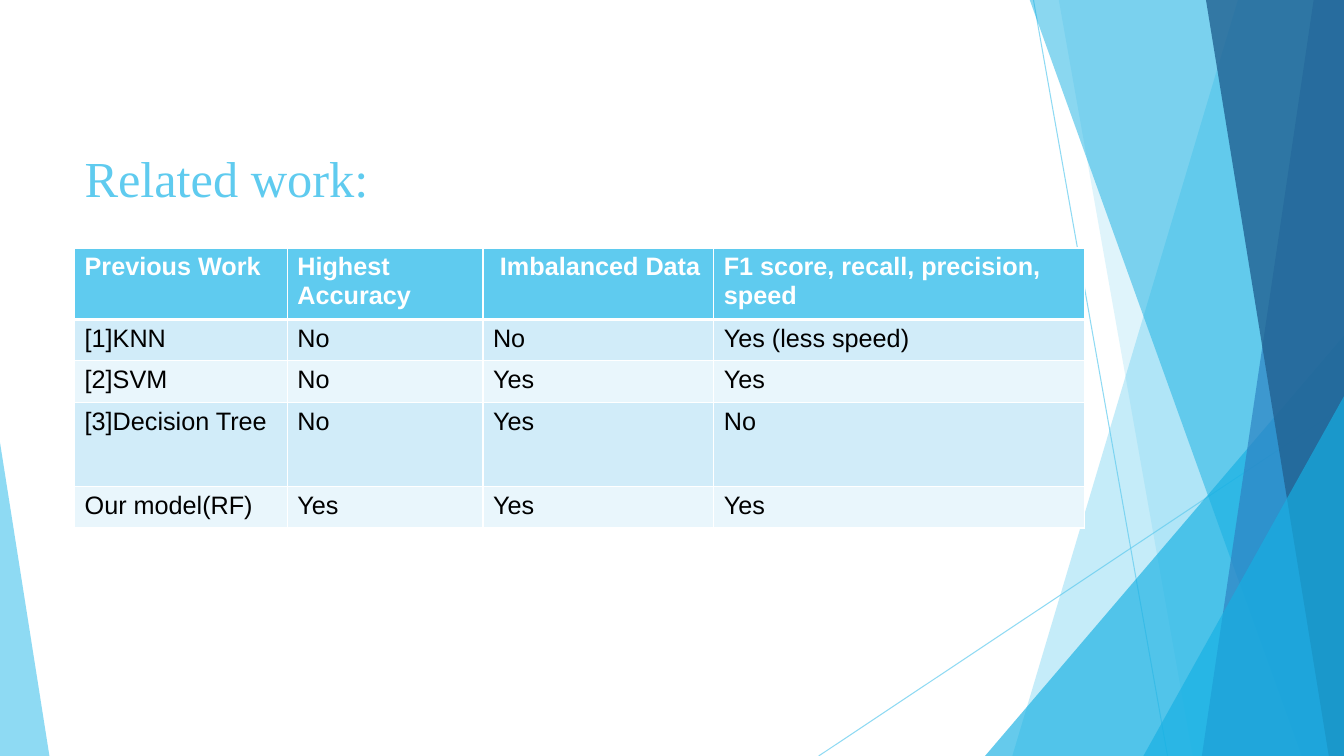
"""Build the related work slide: a comparison table beside layered facets."""
from dataclasses import dataclass

import pptx
import pptx.dml.color
import pptx.enum.shapes
import pptx.enum.text
import pptx.oxml
import pptx.oxml.ns
import pptx.util

Inches = pptx.util.Inches
Pt = pptx.util.Pt
RGBColor = pptx.dml.color.RGBColor
qn = pptx.oxml.ns.qn

SKY = RGBColor(0x5F, 0xCB, 0xEF)
CYAN = RGBColor(0x16, 0xB0, 0xE3)
BLUE = RGBColor(0x2E, 0x83, 0xC3)
NAVY = RGBColor(0x22, 0x62, 0x92)
BAND_DARK = RGBColor(0xD1, 0xEC, 0xF9)
BAND_LIGHT = RGBColor(0xE9, 0xF6, 0xFC)
WHITE = RGBColor(0xFF, 0xFF, 0xFF)
BLACK = RGBColor(0, 0, 0)

WIDTH, HEIGHT, FACET_TOP = 13.33, 7.5, -0.01


@dataclass
class Ray:
    x1: float
    y1: float
    x2: float
    y2: float


@dataclass
class Facet:
    """A band from two edge points to the right side of the slide."""
    top_x: float
    bottom_x: float
    color: RGBColor
    alpha: int


@dataclass
class Corner:
    """A right triangle standing on the bottom of the slide."""
    left: float
    top: float
    width: float
    apex: float
    color: RGBColor
    alpha: int


RAYS = [Ray(10.25, 0, 11.58, HEIGHT), Ray(WIDTH, 4.03, 8.12, HEIGHT)]
DECOR = [
    Facet(12.28, 10.04, SKY, 36),
    Facet(10.5, 11.83, SKY, 20),
    Corner(9.77, 3.33, 3.56, 1, CYAN, 66),
    Facet(10.21, 12.91, CYAN, 50),
    Facet(13.03, 11.92, BLUE, 70),
    Facet(11.96, 13.18, NAVY, 80),
    Corner(11.34, 3.93, 1.99, 1, CYAN, 66),
    Corner(0, 4.39, 0.49, 0, SKY, 70),
]

COL_WIDTHS = [2.11, 1.94, 2.29, 3.68]
ROW_HEIGHTS = [0.71, 0.41, 0.41, 0.84, 0.41]
ROWS = [
    ["Previous Work", "Highest Accuracy", " Imbalanced Data", "F1 score, recall, precision, speed"],
    ["[1]KNN", "No", "No", "Yes (less speed)"],
    ["[2]SVM", "No", "Yes", "Yes"],
    ["[3]Decision Tree", "No", "Yes", "No"],
    ["Our model(RF)", "Yes", "Yes", "Yes"],
]


def set_alpha(fill_parent, percent: int) -> None:
    """Make the solid fill under an element partly transparent."""
    color = fill_parent.find(qn("a:solidFill"))[0]
    pptx.oxml.ns  # namespaced tag lookup
    color.append(pptx.oxml.parse_xml(
        f'<a:alpha {pptx.oxml.ns.nsdecls("a")} val="{percent * 1000}"/>'))


def add_ray(s, ray: Ray) -> None:
    """Draw a thin translucent line."""
    line = s.shapes.add_connector(
        pptx.enum.shapes.MSO_CONNECTOR.STRAIGHT,
        Inches(ray.x1), Inches(ray.y1), Inches(ray.x2), Inches(ray.y2))
    line.line.color.rgb = SKY
    line.line.width = Pt(0.75)
    sp_pr = line._element.spPr
    set_alpha(sp_pr.find(qn("a:ln")), 70)
    sp_pr.append(pptx.oxml.parse_xml(f'<a:effectLst {pptx.oxml.ns.nsdecls("a")}/>'))


def add_decor(s, item: Facet | Corner) -> None:
    """Draw a translucent facet or corner triangle."""
    if isinstance(item, Facet):
        outline = s.shapes.build_freeform(Inches(item.top_x), Inches(FACET_TOP))
        outline.add_line_segments([
            (Inches(WIDTH), Inches(FACET_TOP)),
            (Inches(WIDTH), Inches(HEIGHT)),
            (Inches(item.bottom_x), Inches(HEIGHT))])
        sp = outline.convert_to_shape()
    else:
        sp = s.shapes.add_shape(
            pptx.enum.shapes.MSO_SHAPE.ISOSCELES_TRIANGLE, Inches(item.left),
            Inches(item.top), Inches(item.width), Inches(HEIGHT - item.top))
        sp.adjustments[0] = item.apex
    sp.shadow.inherit = False
    sp.line.fill.background()
    sp.fill.solid()
    sp.fill.fore_color.rgb = item.color
    set_alpha(sp._element.spPr, item.alpha)


def put_text(tf, text: str, *, size: float, font: str, color: RGBColor,
             bold: bool = False) -> None:
    """Write one formatted run into a text frame."""
    tf.word_wrap = True
    r = tf.paragraphs[0].add_run()
    r.text = text
    r.font.size = Pt(size)
    r.font.name = font
    r.font.bold = bold
    r.font.color.rgb = color


def set_borders(cell, widths: dict[str, float]) -> None:
    """Give a cell white borders, widths in points by side."""
    tc_pr = cell._tc.get_or_add_tcPr()
    for side, width in widths.items():
        tc_pr.append(pptx.oxml.parse_xml(
            f'<a:ln{side} {pptx.oxml.ns.nsdecls("a")} w="{Pt(width)}"><a:solidFill>'
            f'<a:srgbClr val="{WHITE}"/></a:solidFill></a:ln{side}>'))


def add_comparison(s) -> None:
    """Add the table of previous work."""
    table = s.shapes.add_table(
        len(ROWS), len(COL_WIDTHS), Inches(0.74), Inches(2.46),
        Inches(sum(COL_WIDTHS)), Inches(sum(ROW_HEIGHTS))).table
    for column, width in zip(table.columns, COL_WIDTHS):
        column.width = Inches(width)
    for i, (row, height) in enumerate(zip(ROWS, ROW_HEIGHTS)):
        table.rows[i].height = Inches(height)
        header = i == 0
        fill = SKY if header else BAND_DARK if i % 2 else BAND_LIGHT
        for j, text in enumerate(row):
            cell = table.cell(i, j)
            set_borders(cell, {"L": 1, "R": 1, "T": 3 if i == 1 else 1,
                               "B": 3 if header else 1})
            cell.fill.solid()
            cell.fill.fore_color.rgb = fill
            put_text(cell.text_frame, text, size=18, font="Arial",
                     color=WHITE if header else BLACK, bold=header)


def main() -> None:
    """Build and save the slide."""
    prs = pptx.Presentation()
    prs.slide_width, prs.slide_height = Inches(WIDTH), Inches(HEIGHT)
    s = prs.slides.add_slide(prs.slide_layouts[6])
    for ray in RAYS:
        add_ray(s, ray)
    for item in DECOR:
        add_decor(s, item)
    title = s.shapes.add_textbox(Inches(0.74), Inches(0.67), Inches(9.4), Inches(1.44))
    title.text_frame.vertical_anchor = pptx.enum.text.MSO_ANCHOR.BOTTOM
    put_text(title.text_frame, "Related work:", size=36, font="Times New Roman", color=SKY)
    add_comparison(s)
    prs.save("out.pptx")


main()
